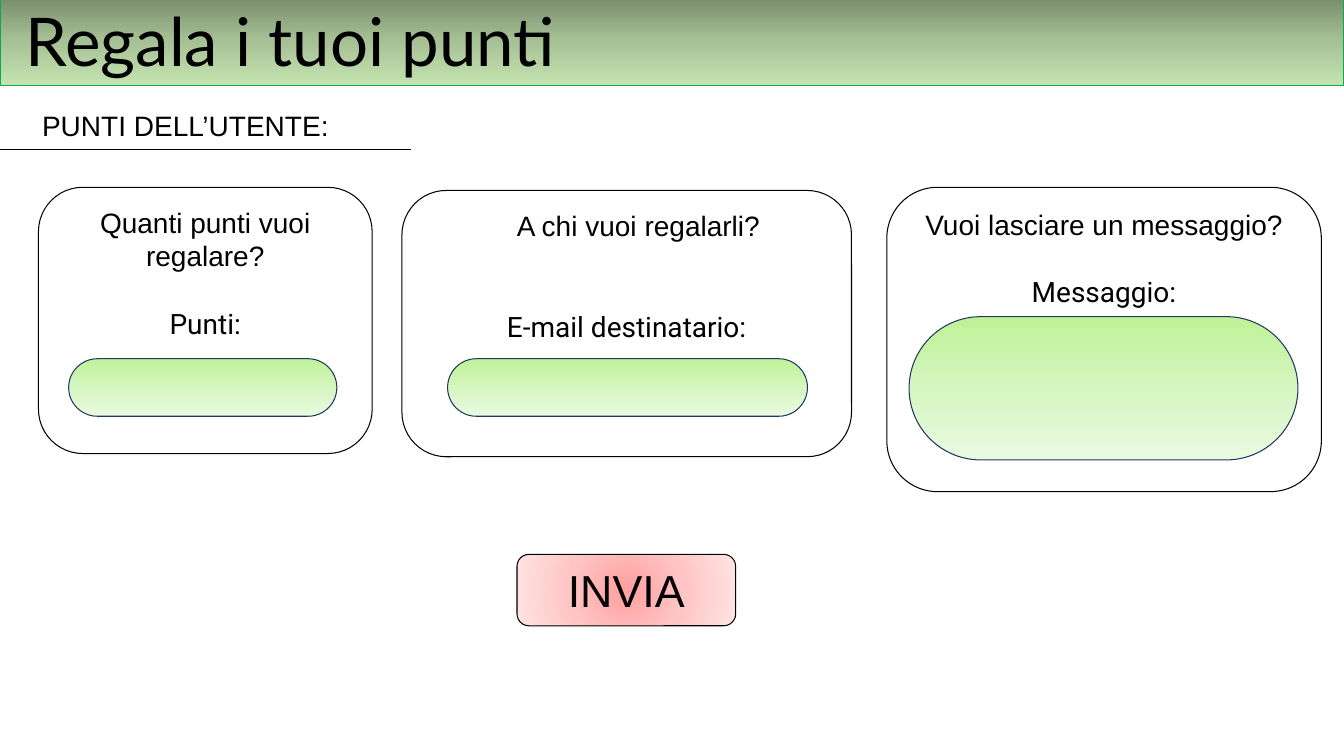
from pptx import Presentation
from pptx.dml.color import RGBColor
from pptx.enum.shapes import MSO_CONNECTOR, MSO_SHAPE
from pptx.enum.text import MSO_ANCHOR, PP_ALIGN
from pptx.oxml import parse_xml
from pptx.oxml.ns import nsdecls, qn
from pptx.util import Cm, Pt

RECT = MSO_SHAPE.RECTANGLE
ROUNDED = MSO_SHAPE.ROUNDED_RECTANGLE
STRAIGHT = MSO_CONNECTOR.STRAIGHT
TOP, MIDDLE = MSO_ANCHOR.TOP, MSO_ANCHOR.MIDDLE
LEFT, CENTER = PP_ALIGN.LEFT, PP_ALIGN.CENTER

COLORS = {"ink": "000000", "header_line": "00B050", "field_line": "203864"}
GRADIENTS = {
    "header": ("758768", "A6C095", "C5E3B0"),
    "field": ("BEF297", "D5F6C0", "EAFAE0"),
    "button": ("FFA0A0", "FFC5C5", "FFE3E3"),
}
LINEAR = '<a:lin ang="5400000" scaled="1"/>'
RADIAL = '<a:path path="circle"><a:fillToRect l="50000" t="50000" r="50000" b="50000"/></a:path>'

# heading, its indent, field label, gap above the label (pt), card box, field box (cm)
CARDS = [
    ("Quanti punti vuoi regalare?", 0, "Punti:", 24,
     (0.97, 4.72, 8.41, 6.71), (1.73, 9.04, 6.76, 1.45)),
    ("A chi vuoi regalarli?", 0.59, "E-mail destinatario:", 48,
     (10.13, 4.8, 11.33, 6.71), (11.28, 9.04, 9.07, 1.45)),
    ("Vuoi lasciare un messaggio?", 0, "Messaggio:", 24,
     (22.35, 4.72, 10.95, 7.67), (22.91, 7.98, 9.8, 3.61)),
]


def rgb(name):
    return RGBColor.from_string(COLORS[name])


def apply(target, values):
    for name, value in values.items():
        setattr(target, name, value)


def fill_gradient(shape, colors, direction):
    """Replace the empty fill by a gradient with evenly spaced stops."""
    step = 100000 // (len(colors) - 1)
    stops = "".join(
        f'<a:gs pos="{i * step}"><a:srgbClr val="{color}"/></a:gs>'
        for i, color in enumerate(colors))
    properties = shape._element.spPr
    gradient = parse_xml(f'<a:gradFill {nsdecls("a")} rotWithShape="1">'
                         f'<a:gsLst>{stops}</a:gsLst>{direction}</a:gradFill>')
    properties.replace(properties.find(qn("a:noFill")), gradient)


def add_box(slide, kind, box, line="ink", width=0.75, gradient=None, direction=LINEAR):
    shape = slide.shapes.add_shape(kind, *map(Cm, box))
    shape.shadow.inherit = False
    shape.fill.background()
    if gradient:
        fill_gradient(shape, GRADIENTS[gradient], direction)
    shape.line.color.rgb = rgb(line)
    shape.line.width = Pt(width)
    return shape


def write(paragraph, text, size=20, font="Arial", align=CENTER, gap=0, indent=0):
    apply(paragraph, {"alignment": align, "space_before": Pt(gap)})
    if indent:
        paragraph._p.get_or_add_pPr().set("marL", str(Cm(indent)))
    run = paragraph.add_run()
    run.text = text
    apply(run.font, {"size": Pt(size), "name": font})
    run.font.color.rgb = rgb("ink")


def add_header(slide, title):
    header = add_box(slide, RECT, (0, -0.15, 33.87, 2.31), "header_line", 1, "header")
    frame = header.text_frame
    apply(frame, {"word_wrap": True, "vertical_anchor": MIDDLE, "margin_left": Cm(0.64)})
    write(frame.paragraphs[0], title, 48, "Lato", LEFT)


def add_user_points(slide, label):
    caption = slide.shapes.add_textbox(Cm(0.81), Cm(2.62), Cm(12.7), Cm(1.12))
    caption.text_frame.word_wrap = True
    write(caption.text_frame.paragraphs[0], label, align=LEFT)
    rule = slide.shapes.add_connector(STRAIGHT, Cm(0), Cm(3.76), Cm(10.36), Cm(3.76))
    rule.line.color.rgb = rgb("ink")
    rule.line.width = Pt(0.5)
    rule._element.spPr.append(parse_xml(f'<a:effectLst {nsdecls("a")}/>'))


def add_card(slide, heading, indent, label, gap, card_box, field_box):
    frame = add_box(slide, ROUNDED, card_box).text_frame
    apply(frame, {"word_wrap": True, "vertical_anchor": TOP})
    write(frame.paragraphs[0], heading, indent=indent)
    write(frame.add_paragraph(), label, font="Roboto", gap=gap)
    field = add_box(slide, ROUNDED, field_box, "field_line", gradient="field")
    field.adjustments[0] = 0.5


def add_button(slide, label):
    button = add_box(slide, ROUNDED, (13.03, 13.97, 5.51, 1.8),
                     gradient="button", direction=RADIAL)
    apply(button.text_frame, {"word_wrap": True, "vertical_anchor": TOP})
    write(button.text_frame.paragraphs[0], label, 32)


def main():
    deck = Presentation()
    apply(deck, {"slide_width": Cm(33.87), "slide_height": Cm(19.05)})
    slide = deck.slides.add_slide(deck.slide_layouts[6])
    add_header(slide, "Regala i tuoi punti")
    add_user_points(slide, "PUNTI DELL’UTENTE:")
    for card in CARDS:
        add_card(slide, *card)
    add_button(slide, "INVIA")
    deck.save("out.pptx")


if __name__ == "__main__":
    main()
